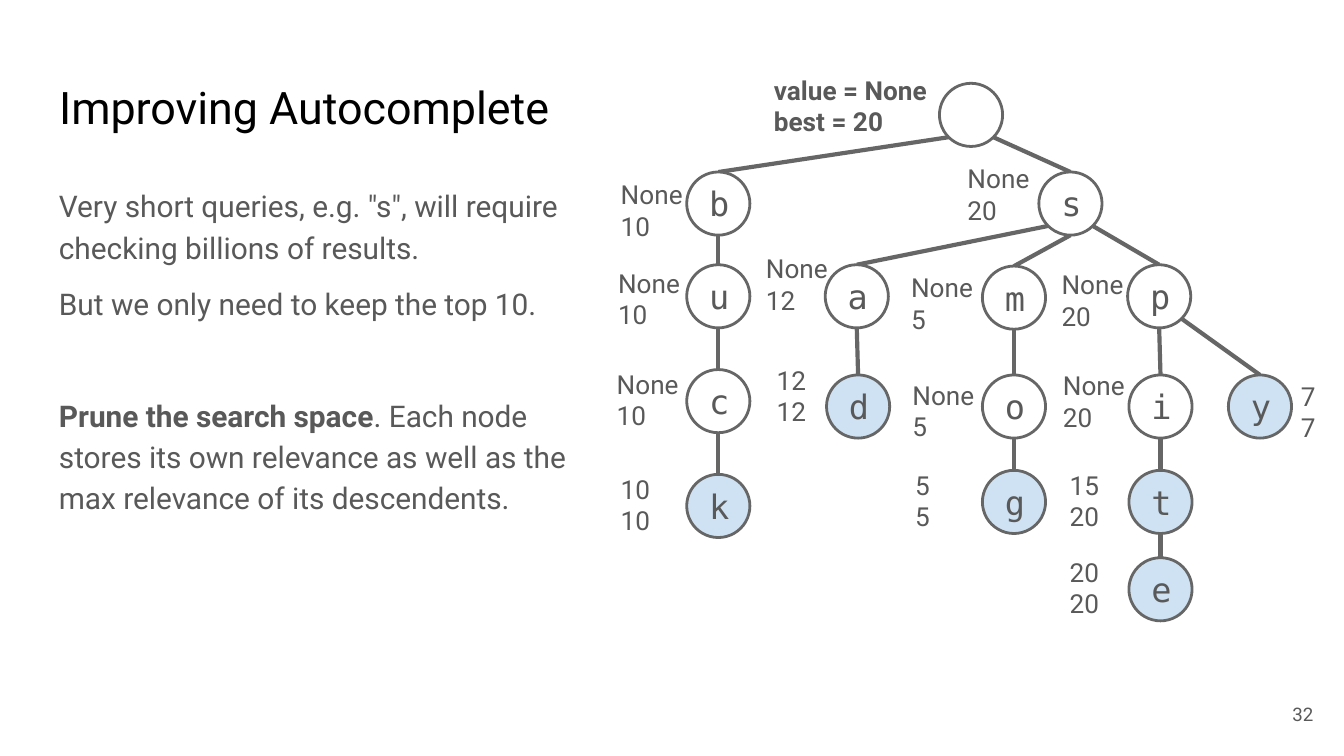
"""Build the slide on improving autocomplete with a pruned letter tree."""
from dataclasses import dataclass
from math import sqrt

from lxml import etree
from pptx import Presentation
from pptx.dml.color import RGBColor
from pptx.enum import shapes, text
from pptx.oxml import ns
from pptx.util import Inches, Pt

COLORS = {
    "title": "000000",
    "text": "595959",
    "line": "666666",
    "node": "FFFFFF",
    "word_end": "CFE2F3",
}
SLIDE_WIDTH = 10
SLIDE_HEIGHT = SLIDE_WIDTH * 9 / 16
DIAMETER = 0.47
RADIUS = DIAMETER / 2
SIDE_EXIT_DISTANCE = 0.5
LABEL_WIDTH, LABEL_HEIGHT = 0.89, 0.25


@dataclass(frozen=True)
class Node:
    """A tree node with its place, parent, label lines and label place."""

    letter: str
    left: float
    top: float
    parent: str | None
    label: tuple[str, str]
    label_left: float
    label_top: float
    ends_word: bool = False

    @property
    def center(self) -> float:
        """Return the horizontal centre."""
        return self.left + RADIUS


NODES = [
    Node("", 6.99, 0.62, None, ("value = None", "best = 20"), 5.66, 0.45),
    Node("b", 5.11, 1.28, "", ("None", "10"), 4.52, 1.23),
    Node("u", 5.11, 1.97, "b", ("None", "10"), 4.5, 1.89),
    Node("c", 5.11, 2.75, "u", ("None", "10"), 4.49, 2.64),
    Node("k", 5.11, 3.53, "c", ("10", "10"), 4.52, 3.42, True),
    Node("s", 7.73, 1.28, "", ("None", "20"), 7.1, 1.11),
    Node("a", 6.14, 1.97, "s", ("None", "12"), 5.6, 1.78),
    Node("d", 6.15, 2.79, "a", ("12", "12"), 5.68, 2.61, True),
    Node("m", 7.31, 1.98, "s", ("None", "5"), 6.68, 1.92),
    Node("o", 7.31, 2.79, "m", ("None", "5"), 6.69, 2.72),
    Node("g", 7.31, 3.5, "o", ("5", "5"), 6.71, 3.39, True),
    Node("p", 8.39, 1.97, "s", ("None", "20"), 7.8, 1.9),
    Node("i", 8.4, 2.79, "p", ("None", "20"), 7.81, 2.65),
    Node("t", 8.4, 3.5, "i", ("15", "20"), 7.86, 3.39, True),
    Node("e", 8.4, 4.15, "t", ("20", "20"), 7.86, 4.04, True),
    Node("y", 9.14, 2.79, "p", ("7", "7"), 9.58, 2.73, True),
]


def color(name: str) -> RGBColor:
    """Return the named colour."""
    return RGBColor.from_string(COLORS[name])


def set_font(paragraph, size: float, name: str = "Roboto", ink: str = "text", bold: bool = False) -> None:
    """Format a whole paragraph."""
    font = paragraph.font
    font.size, font.name, font.bold = Pt(size), name, bold
    font.color.rgb = color(ink)


def set_frame(frame, anchor=text.MSO_ANCHOR.TOP) -> None:
    """Give a text frame equal insets, wrapping and an anchor."""
    frame.margin_left = frame.margin_right = Inches(0.1)
    frame.margin_top = frame.margin_bottom = Inches(0.1)
    frame.word_wrap = True
    frame.auto_size = text.MSO_AUTO_SIZE.NONE
    frame.vertical_anchor = anchor


def add_text(slide, left: float, top: float, width: float, height: float, anchor=text.MSO_ANCHOR.TOP):
    """Add a text box and return its frame."""
    frame = slide.shapes.add_textbox(Inches(left), Inches(top), Inches(width), Inches(height)).text_frame
    set_frame(frame, anchor)
    return frame


def add_title(slide) -> None:
    """Place and format the title."""
    title = slide.shapes.title
    title.left, title.top = Inches(0.34), Inches(0.49)
    title.width, title.height = Inches(4.32), Inches(0.63)
    set_frame(title.text_frame)
    heading = title.text_frame.paragraphs[0]
    heading.text = "Improving Autocomplete"
    heading.alignment = text.PP_ALIGN.LEFT
    set_font(heading, 24, ink="title")


def add_body(slide) -> None:
    """Add the explanation beside the tree."""
    frame = add_text(slide, 0.34, 1.26, 4.32, 3.74)
    problem, insight, solution = frame.paragraphs[0], frame.add_paragraph(), frame.add_paragraph()
    problem.text = 'Very short queries, e.g. "s", will require checking billions of results.'
    insight.text = "But we only need to keep the top 10."
    emphasis = solution.add_run()
    emphasis.text = "Prune the search space"
    emphasis.font.bold = True
    solution.add_run().text = (
        ". Each node stores its own relevance as well as the max relevance of its descendents."
    )
    for paragraph in frame.paragraphs:
        paragraph.line_spacing = 1.15
        set_font(paragraph, 16)
    insight.space_before = Pt(8)
    solution.space_before = Pt(38)


def add_edge(slide, parent: Node, child: Node) -> None:
    """Join a parent to the top of its child, leaving sideways for distant children."""
    distance = child.center - parent.center
    start_x, start_y = parent.center, parent.top + DIAMETER
    if abs(distance) > SIDE_EXIT_DISTANCE:
        diagonal = RADIUS / sqrt(2)
        start_x += diagonal if distance > 0 else -diagonal
        start_y = parent.top + RADIUS + diagonal
    edge = slide.shapes.add_connector(
        shapes.MSO_CONNECTOR.STRAIGHT,
        Inches(start_x), Inches(start_y), Inches(child.center), Inches(child.top),
    )
    edge.line.color.rgb = color("line")
    edge.line.width = Pt(2.25)
    etree.SubElement(edge.element.spPr, ns.qn("a:effectLst"))


def add_node(slide, node: Node) -> None:
    """Draw the circle of a node with its letter."""
    circle = slide.shapes.add_shape(
        shapes.MSO_SHAPE.OVAL, Inches(node.left), Inches(node.top), Inches(DIAMETER), Inches(DIAMETER)
    )
    circle.shadow.inherit = False
    circle.fill.solid()
    circle.fill.fore_color.rgb = color("word_end" if node.ends_word else "node")
    circle.line.color.rgb = color("line")
    circle.line.width = Pt(1.5)
    if node.letter:
        set_frame(circle.text_frame, text.MSO_ANCHOR.MIDDLE)
        letter = circle.text_frame.paragraphs[0]
        letter.text = node.letter
        letter.alignment = text.PP_ALIGN.LEFT
        set_font(letter, 18, "DejaVu Sans Mono")


def add_label(slide, node: Node) -> None:
    """Write the value and the best relevance beside a node."""
    is_root = node.parent is None
    width = 1.64 if is_root else min(LABEL_WIDTH, SLIDE_WIDTH - node.label_left)
    frame = add_text(slide, node.label_left, node.label_top, width, LABEL_HEIGHT)
    value, best = frame.paragraphs[0], frame.add_paragraph()
    for paragraph, line in zip((value, best), node.label):
        paragraph.text = line
        set_font(paragraph, 14, bold=is_root)


def add_page_number(slide) -> None:
    """Write the page number in the lower right corner."""
    number = add_text(slide, 9.27, 5.1, 0.6, 0.43, text.MSO_ANCHOR.MIDDLE).paragraphs[0]
    number.text = "32"
    number.alignment = text.PP_ALIGN.RIGHT
    set_font(number, 10)


def main() -> None:
    """Build and save the slide."""
    deck = Presentation()
    deck.slide_width, deck.slide_height = Inches(SLIDE_WIDTH), Inches(SLIDE_HEIGHT)
    slide = deck.slides.add_slide(deck.slide_layouts.get_by_name("Title Only"))
    add_title(slide)
    add_body(slide)
    add_page_number(slide)
    by_letter = {node.letter: node for node in NODES}
    for node in NODES:
        if node.parent is not None:
            add_edge(slide, by_letter[node.parent], node)
    for node in NODES:
        add_node(slide, node)
    for node in NODES:
        add_label(slide, node)
    deck.save("out.pptx")


if __name__ == "__main__":
    main()
